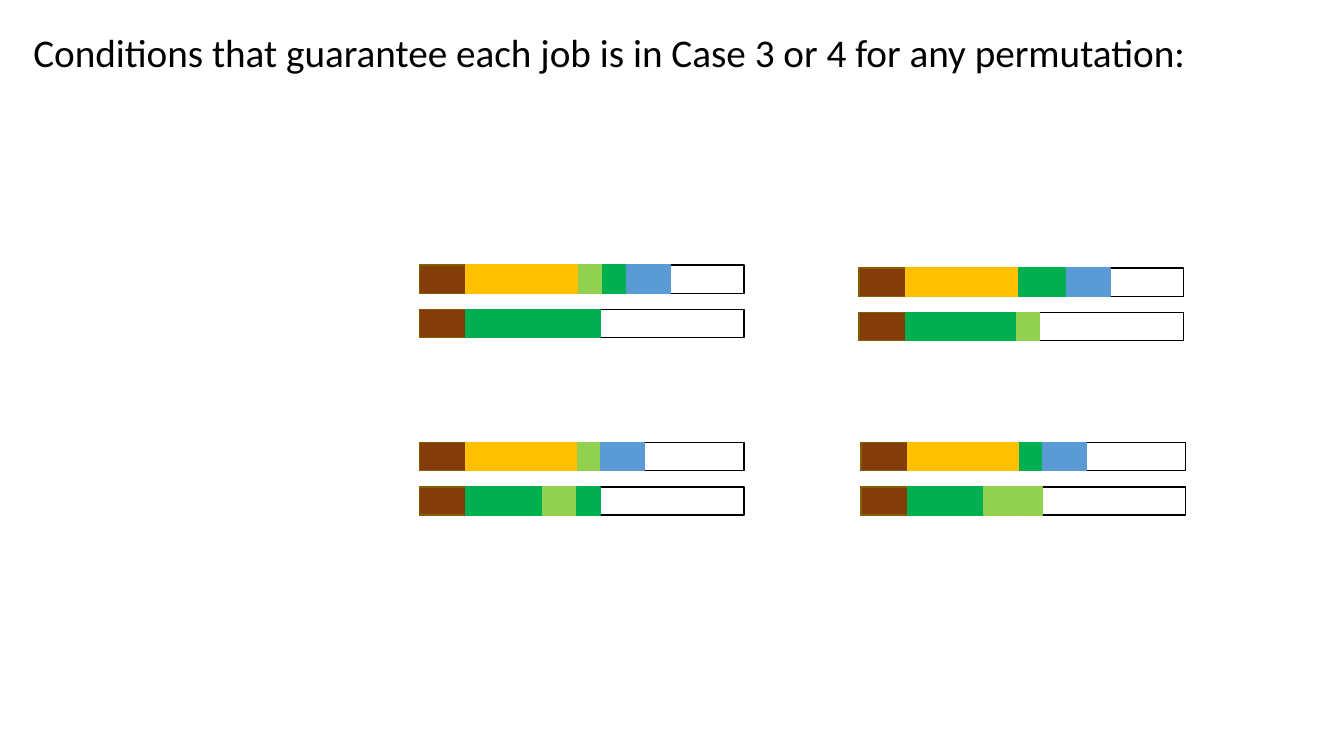
from pptx import Presentation
from pptx import util as u
from pptx.dml.color import RGBColor
from pptx.enum import shapes, text

BROWN, GOLD, LIME, GREEN, BLUE = "843C0B", "FFC000", "92D050", "00B050", "5B9BD5"
BROWN_EDGE, BLACK = "806000", "000000"
BAR_WIDTH, BAR_HEIGHT, BAR_PITCH = 3.22, 0.28, 0.44

START = (BROWN, 0.46)
# Each job: left, top, then the (colour, width) segments of its upper and lower bar.
JOBS = [
    (4.16, 2.63,
     [START, (GOLD, 1.12), (LIME, 0.24), (GREEN, 0.24), (BLUE, 0.43)],
     [START, (GREEN, 1.33)]),
    (4.16, 4.39,
     [START, (GOLD, 1.11), (LIME, 0.23), (BLUE, 0.43)],
     [START, (GREEN, 0.76), (LIME, 0.34), (GREEN, 0.23)]),
    (8.54, 4.39,
     [START, (GOLD, 1.11), (GREEN, 0.23), (BLUE, 0.43)],
     [START, (GREEN, 0.76), (LIME, 0.35), (LIME, 0.23)]),
    (8.52, 2.66,
     [START, (GOLD, 1.12), (GREEN, 0.48), (BLUE, 0.43)],
     [START, (GREEN, 1.1), (LIME, 0.23)]),
]


def colour(value):
    return RGBColor.from_string(value)


def add_text(frame, words, font="Calibri", size=28, hue=BLACK):
    para = frame.paragraphs[0]
    para.alignment = text.PP_ALIGN.LEFT
    span = para.add_run()
    span.text = words
    span.font.name = font
    span.font.size = u.Pt(size)
    span.font.color.rgb = colour(hue)


def add_title(page, left, top, width, height, words):
    box = page.shapes.title
    box.left, box.top = u.Inches(left), u.Inches(top)
    box.width, box.height = u.Inches(width), u.Inches(height)
    frame = box.text_frame
    frame.word_wrap = False
    frame.auto_size = text.MSO_AUTO_SIZE.SHAPE_TO_FIT_TEXT
    frame.vertical_anchor = text.MSO_ANCHOR.TOP
    add_text(frame, words)


def add_rectangle(page, left, top, width, edge, fill=None):
    box = page.shapes.add_shape(
        shapes.MSO_SHAPE.RECTANGLE, u.Inches(left), u.Inches(top),
        u.Inches(width), u.Inches(BAR_HEIGHT))
    box.shadow.inherit = False
    if fill:
        box.fill.solid()
        box.fill.fore_color.rgb = colour(fill)
    else:
        box.fill.background()
    box.line.color.rgb = colour(edge)
    box.line.width = u.Pt(1)


def add_bar(page, left, top, segments):
    """Draw an outlined bar with its segments laid end to end from the left."""
    add_rectangle(page, left, top, BAR_WIDTH, BLACK)
    for fill, width in segments:
        edge = BROWN_EDGE if fill == BROWN else fill
        add_rectangle(page, left, top, width, edge, fill)
        left += width


def add_job(page, left, top, bars):
    for row, segments in enumerate(bars):
        add_bar(page, left, top + row * BAR_PITCH, segments)


def main():
    deck = Presentation()
    deck.slide_width, deck.slide_height = u.Inches(13.33), u.Inches(7.5)
    page = deck.slides.add_slide(deck.slide_layouts[5])
    add_title(page, 0.23, 0.23, 11.76, 0.57,
              "Conditions that guarantee each job is in Case 3 or 4 for any permutation:")
    for left, top, *bars in JOBS:
        add_job(page, left, top, bars)
    deck.save("out.pptx")


if __name__ == "__main__":
    main()
